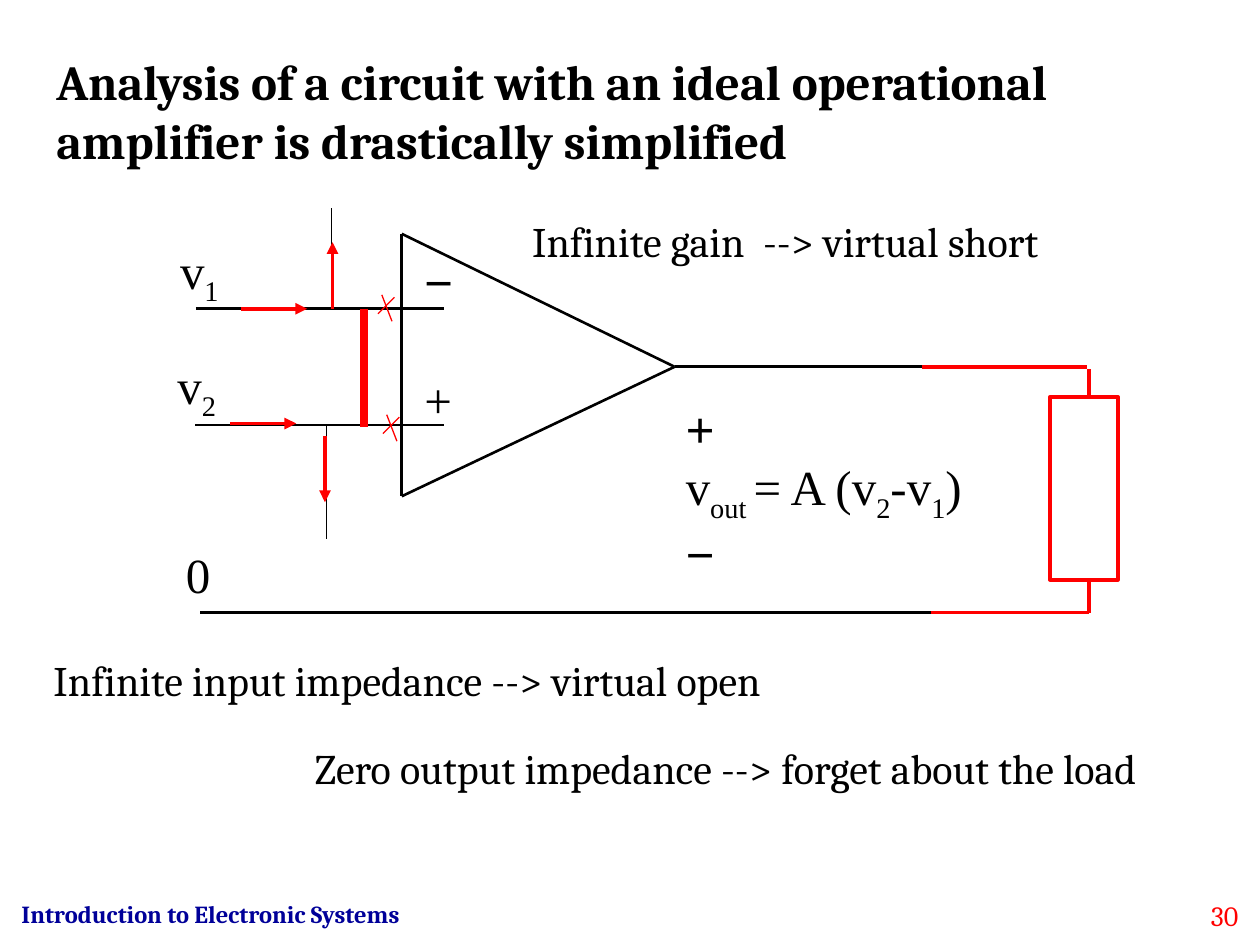
from dataclasses import dataclass

from lxml.etree import SubElement
from pptx import Presentation
from pptx.dml.color import RGBColor
from pptx.enum.shapes import MSO_CONNECTOR as Link, MSO_SHAPE as Shape
from pptx.enum.text import MSO_ANCHOR as Anchor, MSO_AUTO_SIZE as Fit, PP_ALIGN as Align
from pptx.oxml.ns import qn
from pptx.util import Pt

BLACK = RGBColor(0, 0, 0)
WHITE = RGBColor(255, 255, 255)
RED = RGBColor(255, 0, 0)
NAVY = RGBColor(0, 0, 0x99)
SERIF, SANS, ROMAN = "Cambria", "Arial", "Times New Roman"

# Levels and columns of the circuit, in points
MINUS_Y, PLUS_Y, OUT_Y, GROUND_Y = 176.4, 242.8, 209.6, 350
BASE_X, TIP_X, LOAD_X = 229.6, 385.5, 622.2
BASE_TOP, BASE_END = 133.6, 283.6
BOX_TOP, BOX_END = 226.8, 331.2


@dataclass
class Wire:
    x1: float
    y1: float
    x2: float
    y2: float
    color: RGBColor = BLACK
    width: float = 1.5
    arrow: bool = False


@dataclass
class Line:
    """One paragraph; every second piece between bars is a subscript."""
    text: str
    font: str = SERIF
    size: float = 24
    before: float = 0
    color: RGBColor = BLACK
    bold: bool = False


@dataclass
class Label:
    x: float
    y: float
    w: float
    h: float
    lines: list[Line]
    align: Align = Align.LEFT


def arrow(x1: float, y1: float, x2: float, y2: float) -> Wire:
    return Wire(x1, y1, x2, y2, RED, 2.25, True)


def lead(x1: float, y1: float, x2: float, y2: float) -> Wire:
    return Wire(x1, y1, x2, y2, RED, 2.25)


def cross(x: float, y: float) -> list[Wire]:
    return [Wire(x, y, x + 5.8, y + 15.1, RED, 0.75),
            Wire(x + 7.2, y + 1.4, x - 2.2, y + 10.8, RED, 0.75)]


WIRES = [
    Wire(BASE_X, BASE_TOP, BASE_X, BASE_END),
    Wire(BASE_X, BASE_TOP, TIP_X, OUT_Y),
    Wire(BASE_X, BASE_END, TIP_X, OUT_Y),
    Wire(112, MINUS_Y, 254, MINUS_Y),
    Wire(111.5, PLUS_Y, 253.5, PLUS_Y),
    Wire(TIP_X, OUT_Y, 527, OUT_Y),
    Wire(114.5, GROUND_Y, 532.5, GROUND_Y),
    Wire(189.5, MINUS_Y, 189.5, 118.8, width=0.75),
    Wire(186.5, PLUS_Y, 186.5, 308, width=0.75),
    Wire(208, MINUS_Y, 208, 244, RED, 4.5),
    *cross(218.2, 168.5),
    *cross(221, 237),
    arrow(137.8, MINUS_Y, 175.5, MINUS_Y),
    arrow(131.6, 242, 169.3, 242),
    arrow(190, MINUS_Y, 190, 138.4),
    arrow(185.7, 249.4, 185.7, 287),
    lead(527, OUT_Y, 621.3, OUT_Y),
    lead(LOAD_X, 211, LOAD_X, BOX_TOP),
    lead(532, GROUND_Y, LOAD_X, GROUND_Y),
    lead(LOAD_X, 350.5, LOAD_X, BOX_END),
]

LABELS = [
    Label(235.4, 140.4, 36, 108, [Line("−", SANS, 28), Line("+", ROMAN, 28, 33.5)]),
    Label(95.8, 134, 50, 45.4, [Line("v|1", ROMAN, 28)]),
    Label(94.3, 199.4, 50, 45.4, [Line("v|2", ROMAN, 28)]),
    Label(99.2, 307.4, 36, 41, [Line("0", ROMAN, 28)]),
    Label(384.8, 224, 185, 113, [Line("+", SANS, 28),
                                 Line("v|out |= A (v|2|-v|1|)", ROMAN, 28),
                                 Line("−", SANS, 28)]),
    Label(23.5, 370.3, 450.7, 36, [Line("Infinite input impedance --> virtual open")]),
    Label(172.8, 420.5, 530, 36,
          [Line("Zero output impedance --> forget about the load")]),
    Label(297, 119.5, 324, 36, [Line("Infinite gain  --> virtual short")]),
    Label(5.2, 510.2, 277.2, 19.4,
          [Line("Introduction to Electronic Systems", size=14, color=NAVY, bold=True)]),
    Label(666.5, 509.8, 48.2, 24.5, [Line("30", size=16, color=RED)], Align.RIGHT),
]


def draw_wire(shapes, wire: Wire) -> None:
    link = shapes.add_connector(Link.STRAIGHT, Pt(wire.x1), Pt(wire.y1),
                                Pt(wire.x2), Pt(wire.y2))
    link.line.color.rgb = wire.color
    link.line.width = Pt(wire.width)
    if wire.arrow:
        SubElement(link.line._get_or_add_ln(), qn("a:tailEnd"), type="triangle")
    SubElement(link._element.spPr, qn("a:effectLst"))


def write(frame, lines: list[Line], align: Align = Align.LEFT) -> None:
    for i, line in enumerate(lines):
        para = frame.add_paragraph() if i else frame.paragraphs[0]
        para.alignment = align
        para.space_before = Pt(line.before)
        for j, piece in enumerate(line.text.split("|")):
            if not piece:
                continue
            run = para.add_run()
            run.text = piece
            font = run.font
            font.name, font.size, font.bold = line.font, Pt(line.size), line.bold
            font.color.rgb = line.color
            if j % 2:
                run._r.get_or_add_rPr().set("baseline", "-25000")


def draw_label(shapes, label: Label) -> None:
    box = shapes.add_textbox(Pt(label.x), Pt(label.y), Pt(label.w), Pt(label.h))
    box.text_frame.word_wrap = True
    write(box.text_frame, label.lines, label.align)


def draw_load(shapes) -> None:
    box = shapes.add_shape(Shape.RECTANGLE, Pt(600), Pt(BOX_TOP),
                           Pt(38.8), Pt(BOX_END - BOX_TOP))
    box.shadow.inherit = False
    box.fill.solid()
    box.fill.fore_color.rgb = WHITE
    box.line.color.rgb = RED
    box.line.width = Pt(2.25)


def set_title(title) -> None:
    title.left, title.top, title.width, title.height = Pt(25), Pt(26), Pt(606), Pt(75)
    title.fill.solid()
    title.fill.fore_color.rgb = WHITE
    frame = title.text_frame
    frame.word_wrap = True
    frame.auto_size = Fit.NONE
    frame.vertical_anchor = Anchor.TOP
    write(frame, [Line("Analysis of a circuit with an ideal operational "
                       "amplifier is drastically simplified", size=28, bold=True)])


def main() -> None:
    deck = Presentation()
    deck.slide_width, deck.slide_height = Pt(720), Pt(540)
    slide = deck.slides.add_slide(deck.slide_layouts[5])
    shapes = slide.shapes
    set_title(shapes.title)
    draw_load(shapes)
    for wire in WIRES:
        draw_wire(shapes, wire)
    for label in LABELS:
        draw_label(shapes, label)
    deck.save("out.pptx")


if __name__ == "__main__":
    main()
